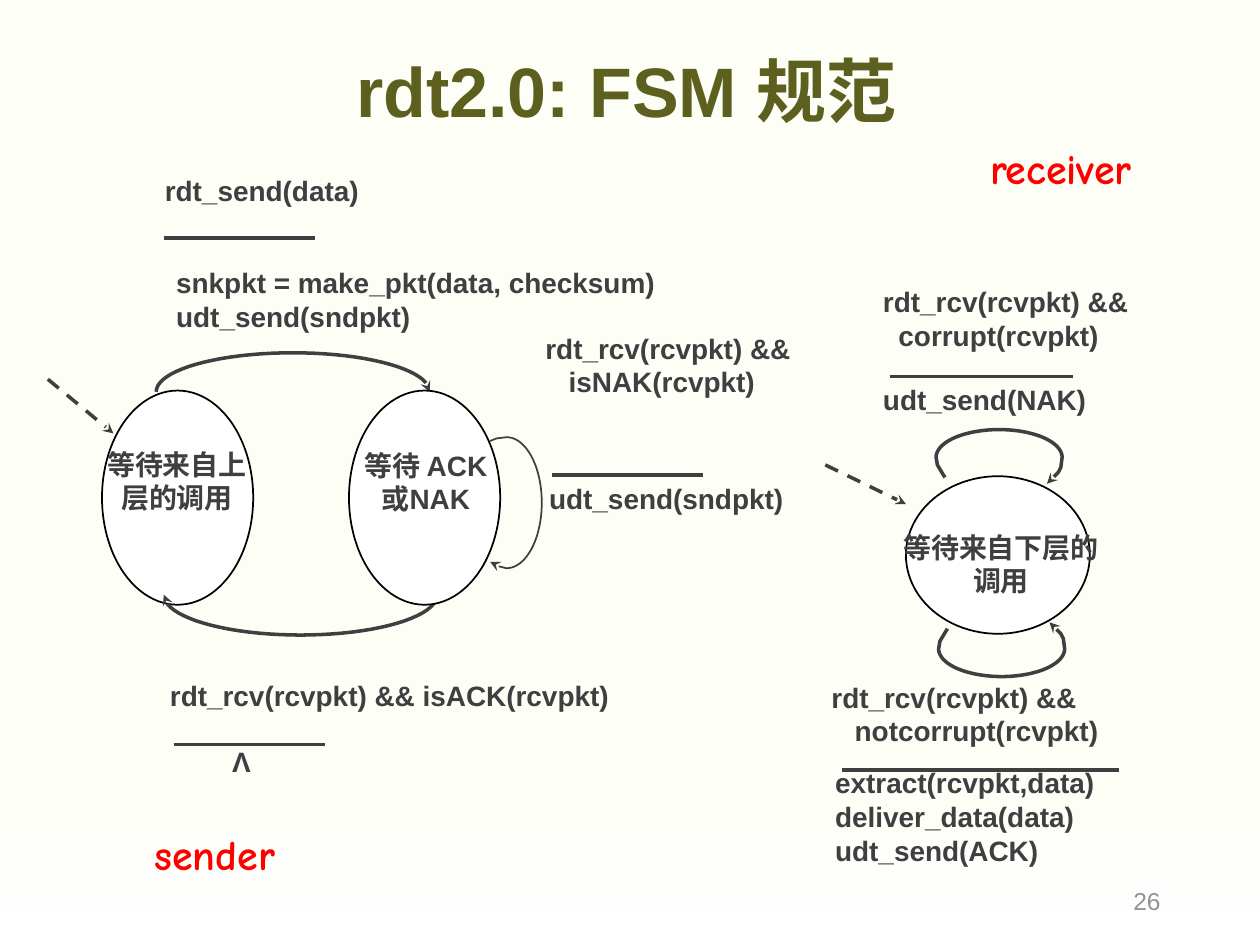
from dataclasses import dataclass
from math import cos, radians, sin

from lxml.etree import SubElement
from pptx import Presentation
from pptx.dml.color import RGBColor
from pptx.enum.dml import MSO_LINE_DASH_STYLE as Dash
from pptx.enum.shapes import MSO_CONNECTOR_TYPE as Connector, MSO_SHAPE as Shape
from pptx.enum.text import MSO_ANCHOR as Anchor, PP_ALIGN as Align
from pptx.oxml.ns import qn
from pptx.util import Inches, Pt

COLUMNS, ROWS = 100, 75
INK, OLIVE, RED, GREY, WHITE, BLACK = "3D3F41", "5D5F1F", "FF0000", "919293", "FFFFFF", "000000"
LABEL_SIZE = 16

deck = Presentation()
deck.slide_width, deck.slide_height = Inches(10), Inches(7.5)
page = deck.slides.add_slide(deck.slide_layouts[6])

Point = tuple[float, float]


@dataclass
class Label:
    """Lines of a transition label; indent shifts the lines after the first."""
    area: tuple[float, float, float, float]
    lines: list[str]
    indent: float = 0


@dataclass
class State:
    oval: tuple[float, float, float, float]
    text_area: tuple[float, float, float, float]
    text: str


@dataclass
class Arc:
    """Part of an ellipse, in degrees clockwise from the right, with straight ends."""
    center: Point
    radii: Point
    start: float
    stop: float
    before: tuple[Point, ...] = ()
    after: tuple[Point, ...] = ()
    arrow: str = "tailEnd"
    weight: float = 2

    def points(self, steps: int = 40) -> list[Point]:
        angles = [radians(self.start + (self.stop - self.start) * i / steps)
                  for i in range(steps + 1)]
        curve = [(self.center[0] + self.radii[0] * cos(a),
                  self.center[1] + self.radii[1] * sin(a)) for a in angles]
        return [*self.before, *curve, *self.after]


def color(value: str) -> RGBColor:
    return RGBColor.from_string(value)


def col(count: float) -> int:
    return round(deck.slide_width * count / COLUMNS)


def row(count: float) -> int:
    return round(deck.slide_height * count / ROWS)


def place(area: tuple[float, float, float, float]) -> tuple[int, int, int, int]:
    left, top, width, height = area
    return col(left), row(top), col(width), row(height)


def add_text(area, lines, *, size=LABEL_SIZE, ink=INK, font="Arial", bold=True, indent=0.0,
             align=Align.LEFT, anchor=Anchor.TOP, wrap=True, spacing=1.0) -> None:
    frame = page.shapes.add_textbox(*place(area)).text_frame
    frame.word_wrap, frame.vertical_anchor = wrap, anchor
    for number, line in enumerate(lines):
        para = frame.add_paragraph() if number else frame.paragraphs[0]
        para.alignment, para.line_spacing = align, spacing
        if number and indent:
            para._p.get_or_add_pPr().set("marL", str(col(indent)))
        span = para.add_run()
        span.text = line
        span.font.size, span.font.name, span.font.bold = Pt(size), font, bold
        span.font.color.rgb = color(ink)


def style_line(line, ink: str, weight: float, arrow: str = "") -> None:
    line.color.rgb = color(ink)
    line.width = Pt(weight)
    if arrow:
        SubElement(line._get_or_add_ln(), qn("a:" + arrow), type="stealth")


def add_line(start: Point, end: Point, *, entry: bool = False) -> None:
    """Draw a rule, or a dashed arrow into the initial state."""
    link = page.shapes.add_connector(Connector.STRAIGHT, col(start[0]), row(start[1]),
                                     col(end[0]), row(end[1]))
    if entry:
        link.line.dash_style = Dash.DASH
    style_line(link.line, INK, 2, "tailEnd" if entry else "")
    SubElement(link._element.spPr, qn("a:effectLst"))


def add_arc(arc: Arc) -> None:
    first, *rest = [(col(x), row(y)) for x, y in arc.points()]
    builder = page.shapes.build_freeform(*first)
    builder.add_line_segments(rest, close=False)
    shape = builder.convert_to_shape()
    shape.shadow.inherit = False
    shape.fill.background()
    style_line(shape.line, INK, arc.weight, arc.arrow)


def add_state(state: State) -> None:
    oval = page.shapes.add_shape(Shape.OVAL, *place(state.oval))
    oval.shadow.inherit = False
    oval.fill.solid()
    oval.fill.fore_color.rgb = color(WHITE)
    style_line(oval.line, BLACK, 1)
    add_text(state.text_area, [state.text], align=Align.CENTER)


def paint_background() -> None:
    fill = page.background.fill
    fill.gradient()
    fill.gradient_angle = 270
    for stop, position, value in zip(fill.gradient_stops, (0.84, 1), ("FDFFF7", WHITE)):
        stop.position = position
        stop.color.rgb = color(value)


CALL_FROM_ABOVE = State((8.1, 31, 12, 17), (6.8, 35, 14.5, 8), "等待来自上层的调用")
WAIT_FOR_REPLY = State((27.7, 31, 12, 17), (27.3, 35.1, 13, 8), "等待 ACK 或NAK")
CALL_FROM_BELOW = State((71.9, 37.8, 14.6, 12.5), (70.6, 41.6, 17.7, 6), "等待来自下层的调用")

ARCS = [
    Arc((23.25, 31.1), (10.85, 3.1), 180, 360),
    Arc((23.85, 47.2), (10.85, 3.2), 180, 0, arrow="headEnd"),
    Arc((40.2, 39.9), (2.8, 5.2), -90, 90, before=((38.9, 35), (39.4, 34.8)),
        after=((39.4, 44.9), (38.9, 44.6)), weight=1),
    Arc((79.3, 36.3), (5, 2.2), 180, 360, before=((75, 37.9), (74.4, 36.9)),
        after=((84.2, 37.1), (84, 37.5), (83.1, 38.4))),
    Arc((79.5, 51.5), (5, 2.2), 180, 0, before=((75.2, 49.9), (74.6, 50.9)),
        after=((84.4, 50.7), (84.2, 50.3), (83.3, 49.4))),
]

LABELS = [
    Label((12.1, 13.3, 27.2, 7.6), ["rdt_send(data)"]),
    Label((13, 20.6, 44, 7), ["snkpkt = make_pkt(data, checksum)", "udt_send(sndpkt)"]),
    Label((42.3, 25.8, 25.2, 11.1), ["rdt_rcv(rcvpkt) &&", "isNAK(rcvpkt)"], 1.85),
    Label((42.6, 37.7, 21.3, 7), ["udt_send(sndpkt)"]),
    Label((12.5, 53.4, 42.8, 5), ["rdt_rcv(rcvpkt) && isACK(rcvpkt)"]),
    Label((69.1, 22.1, 28.4, 4), ["rdt_rcv(rcvpkt) &&", "corrupt(rcvpkt)"], 1.23),
    Label((69.1, 29.9, 27, 3.3), ["udt_send(NAK)"]),
    Label((65, 53.5, 31.9, 9.1), ["rdt_rcv(rcvpkt) &&", "notcorrupt(rcvpkt)"], 1.85),
    Label((65.3, 60.3, 31.6, 8),
          ["extract(rcvpkt,data)", "deliver_data(data)", "udt_send(ACK)"]),
]

# Left end, row and length of the rule between each event and its actions
RULES = [(13, 18.9, 12), (43.8, 37.7, 12), (13.8, 59.1, 12), (70.6, 29.9, 14.6), (66.8, 61.1, 22)]
ENTRIES = [((3.8, 30.1), (9, 34.4)), ((65.5, 36.9), (71.9, 40))]
ROLES = [((10.7, 65.3, 12.7, 5), "sender"), ((76.7, 10.8, 15, 5), "receiver")]


def main() -> None:
    paint_background()
    add_text((27.3, 2.7, 64.8, 9.7), ["rdt2.0: FSM 规范"], size=40, ink=OLIVE,
             anchor=Anchor.MIDDLE, spacing=0.9)
    add_state(CALL_FROM_ABOVE)
    add_state(CALL_FROM_BELOW)
    for arc in ARCS:
        add_arc(arc)
    add_state(WAIT_FOR_REPLY)
    for label in LABELS:
        add_text(label.area, label.lines, indent=label.indent)
    for left, height, length in RULES:
        add_line((left, height), (left + length, height))
    for start, end in ENTRIES:
        add_line(start, end, entry=True)
    add_text((17.4, 58.6, 3.5, 3.7), ["Λ"], align=Align.CENTER, wrap=False)
    for area, role in ROLES:
        add_text(area, [role], size=24, ink=RED, font="Comic Neue", align=Align.CENTER,
                 wrap=False)
    add_text((70.6, 69.5, 22.5, 4), ["26"], size=14, ink=GREY, bold=False,
             align=Align.RIGHT, anchor=Anchor.MIDDLE, wrap=False)
    deck.save("out.pptx")


if __name__ == "__main__":
    main()
